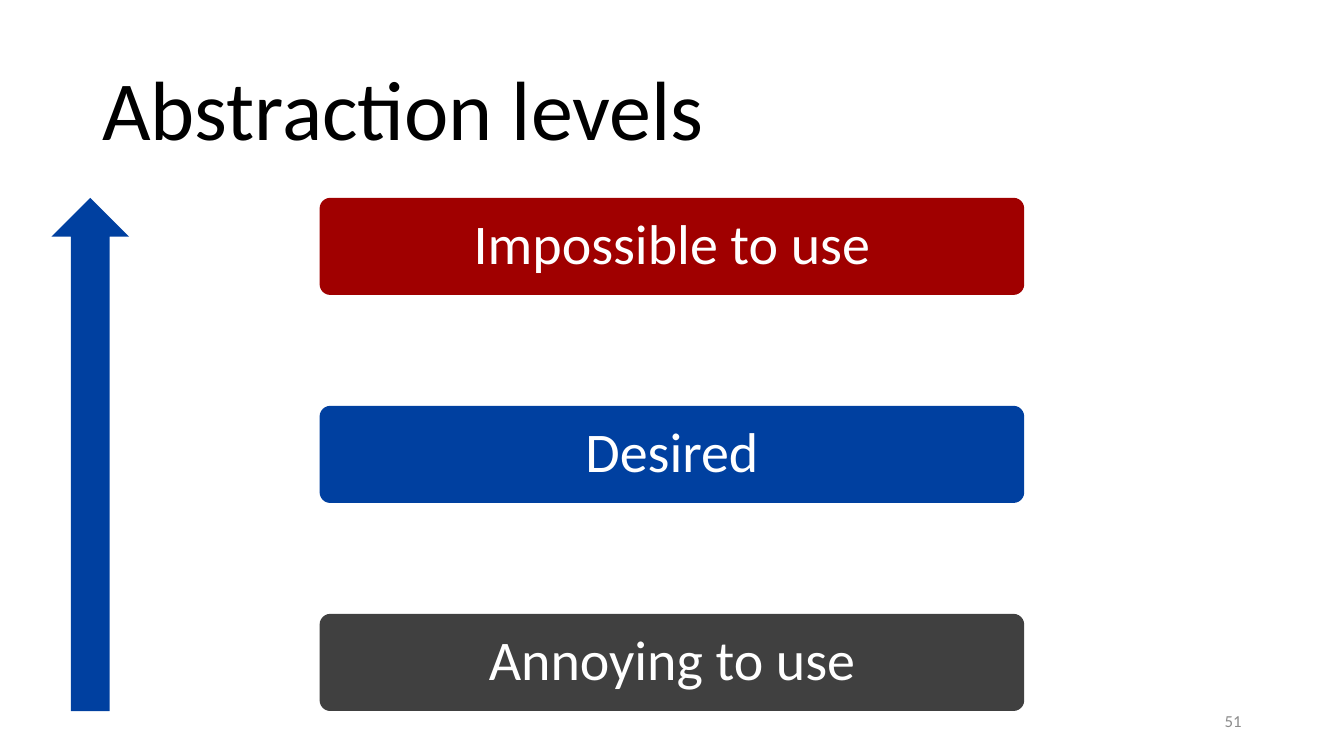
from pptx import Presentation
from pptx.dml.color import RGBColor
from pptx.enum.shapes import MSO_SHAPE
from pptx.enum.text import MSO_ANCHOR, PP_ALIGN
from pptx.util import Pt

BLACK = RGBColor(0x00, 0x00, 0x00)
WHITE = RGBColor(0xFF, 0xFF, 0xFF)
GRAY = RGBColor(0x8C, 0x8C, 0x8C)
RED = RGBColor(0xA0, 0x00, 0x00)
BLUE = RGBColor(0x00, 0x40, 0xA0)
CHARCOAL = RGBColor(0x40, 0x40, 0x40)

LEVELS_TOP, LEVEL_HEIGHT, LEVEL_STEP = 141.3, 69.4, 148.6

deck = Presentation()
deck.slide_width, deck.slide_height = Pt(960), Pt(540)
page = deck.slides.add_slide(deck.slide_layouts[6])


def write(box, text, size, color, align, line_spacing=1.0):
    frame = box.text_frame
    frame.word_wrap = True
    frame.vertical_anchor = MSO_ANCHOR.MIDDLE
    para = frame.paragraphs[0]
    para.alignment = align
    para.line_spacing = line_spacing
    span = para.add_run()
    span.text = text
    for name, value in {"name": "Calibri", "size": Pt(size)}.items():
        setattr(span.font, name, value)
    span.font.color.rgb = color


def add_block(kind, left, top, width, height, fill):
    block = page.shapes.add_shape(kind, Pt(left), Pt(top), Pt(width), Pt(height))
    block.shadow.inherit = False
    block.fill.solid()
    block.fill.fore_color.rgb = fill
    block.line.fill.background()
    return block


# Title and page number
title = page.shapes.add_textbox(Pt(66), Pt(28.75), Pt(828), Pt(104.4))
write(title, "Abstraction levels", 60, BLACK, PP_ALIGN.LEFT, 0.9)
number = page.shapes.add_textbox(Pt(678), Pt(500.5), Pt(216), Pt(28.75))
write(number, "51", 12, GRAY, PP_ALIGN.RIGHT)

# Abstraction levels, from highest to lowest
levels = [("Impossible to use", RED), ("Desired", BLUE), ("Annoying to use", CHARCOAL)]
for index, (label, fill) in enumerate(levels):
    level = add_block(MSO_SHAPE.ROUNDED_RECTANGLE, 228.3,
                      LEVELS_TOP + index * LEVEL_STEP, 503.3, LEVEL_HEIGHT, fill)
    level.adjustments[0] = 0.11
    for side in ("left", "top", "right", "bottom"):
        setattr(level.text_frame, f"margin_{side}", Pt(13.7))
    write(level, label, 40, WHITE, PP_ALIGN.CENTER, 0.9)

# Arrow of rising abstraction, as tall as the stack of levels
stack_height = (len(levels) - 1) * LEVEL_STEP + LEVEL_HEIGHT
add_block(MSO_SHAPE.UP_ARROW, 36.8, LEVELS_TOP, 55.5, stack_height, BLUE)

deck.save("out.pptx")
